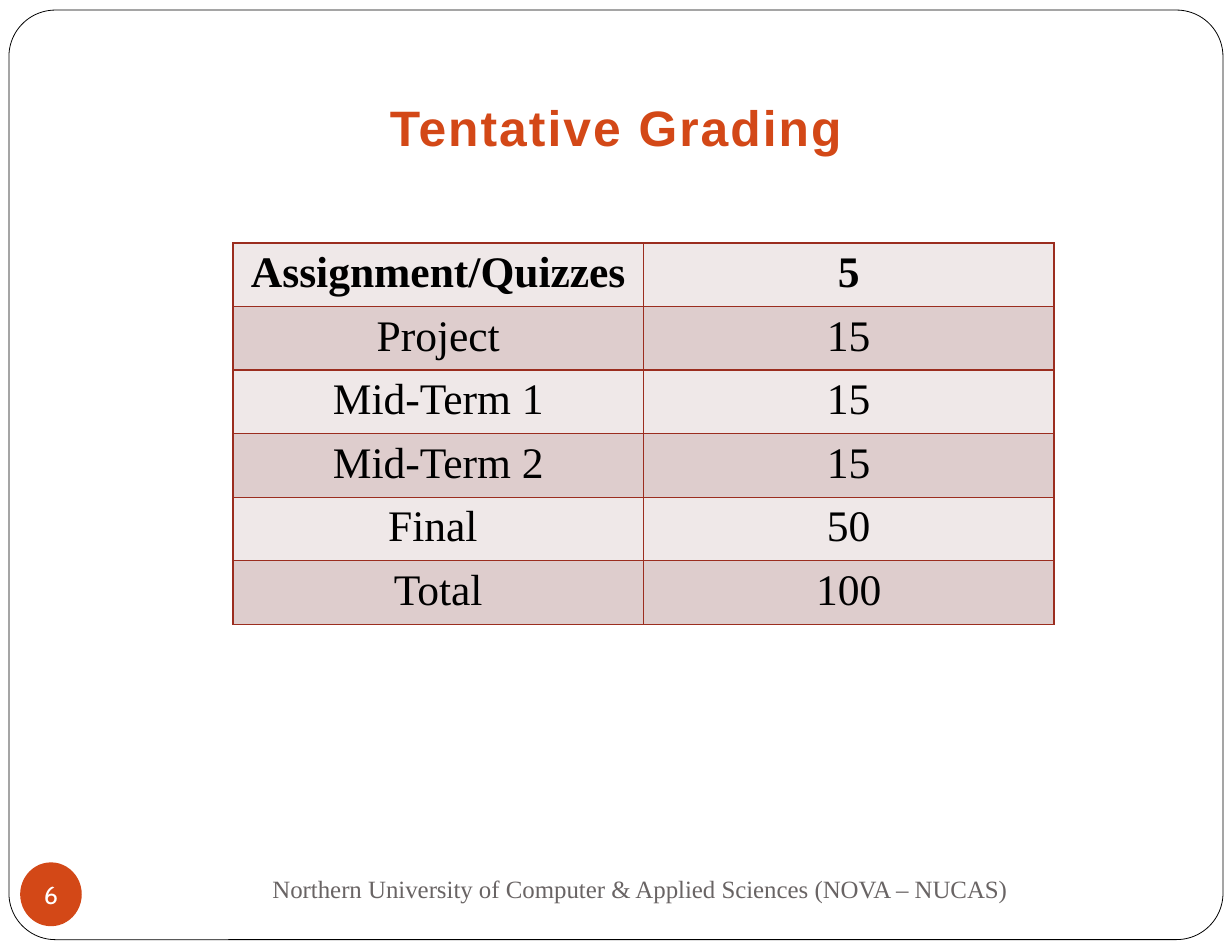
from dataclasses import dataclass

from lxml.etree import SubElement
from pptx import Presentation
from pptx.dml.color import RGBColor as RGB
from pptx.enum.shapes import MSO_SHAPE as Shape
from pptx.enum.text import MSO_ANCHOR as Anchor, PP_ALIGN as Align
from pptx.oxml.ns import qn
from pptx.util import Inches, Pt


@dataclass(frozen=True)
class Theme:
    white: str = "FFFFFF"
    black: str = "000000"
    accent: str = "D34817"
    grey: str = "696464"
    border: str = "9B2D1F"
    bands: tuple = ("EFE8E8", "DECDCD")
    serif: str = "Times New Roman"
    sans: str = "Arial"
    badge: str = "Cabin"
    title: int = 32
    body: int = 28
    small: int = 16


THEME = Theme()

GRADES = [
    ("Assignment/Quizzes", "5"),
    ("Project", "15"),
    ("Mid-Term 1", "15"),
    ("Mid-Term 2", "15"),
    ("Final ", "50"),
    ("Total", "100"),
]


def write(frame, text, face, size, color, bold=False):
    """Put one centred paragraph into a text frame."""
    para = frame.paragraphs[0]
    para.text = text
    para.alignment = Align.CENTER
    font = para.font
    font.name, font.size, font.bold = face, Pt(size), bold
    font.color.rgb = RGB.from_string(color)
    return para


def inset(frame, side, top, bottom):
    frame.margin_left = frame.margin_right = Inches(side)
    frame.margin_top, frame.margin_bottom = Inches(top), Inches(bottom)


def add_text(slide, box, anchor, bottom, *style, **extra):
    frame = slide.shapes.add_textbox(*map(Inches, box)).text_frame
    frame.word_wrap = True
    frame.vertical_anchor = anchor
    inset(frame, 0.11, 0.06, bottom)
    return write(frame, *style, **extra)


def add_form(slide, kind, box, fill):
    form = slide.shapes.add_shape(kind, *map(Inches, box))
    form.shadow.inherit = False
    form.fill.solid()
    form.fill.fore_color.rgb = RGB.from_string(fill)
    form.line.fill.background()
    return form


def add_frame(slide):
    form = add_form(slide, Shape.ROUNDED_RECTANGLE, (0.08, 0.09, 10.84, 8.3), THEME.white)
    form.adjustments[0] = 0.05
    form.line.color.rgb = RGB.from_string(THEME.black)
    form.line.width = Pt(0.5)


def add_badge(slide, text):
    frame = add_form(slide, Shape.OVAL, (0.18, 7.7, 0.55, 0.57), THEME.accent).text_frame
    frame.word_wrap = False
    frame.vertical_anchor = Anchor.MIDDLE
    inset(frame, 0, 0, 0)
    write(frame, text, THEME.badge, THEME.small, THEME.white)


def edge(cell, color, width):
    """Draw all four borders; they must come before the cell's fill."""
    props = cell._tc.get_or_add_tcPr()
    for side in ("lnL", "lnR", "lnT", "lnB"):
        line = SubElement(props, qn(f"a:{side}"), w=str(Pt(width)))
        fill = SubElement(line, qn("a:solidFill"))
        SubElement(fill, qn("a:srgbClr"), val=color)


def add_grid(slide, rows):
    size = len(rows), len(rows[0])
    box = (2.08, 2.17, 7.33, 0.53 * len(rows))
    table = slide.shapes.add_table(*size, *map(Inches, box)).table
    for i, row in enumerate(rows):
        for j, text in enumerate(row):
            cell = table.cell(i, j)
            edge(cell, THEME.border, 1)
            cell.fill.solid()
            cell.fill.fore_color.rgb = RGB.from_string(THEME.bands[i % 2])
            write(cell.text_frame, text, THEME.serif, THEME.body, THEME.black, bold=i == 0)


def main():
    deck = Presentation()
    deck.slide_width, deck.slide_height = Inches(11), Inches(8.5)
    slide = deck.slides.add_slide(deck.slide_layouts[6])

    # Page frame, footer and page number
    add_frame(slide)
    add_text(slide, (1.1, 7.65, 9.23, 0.57), Anchor.MIDDLE, 0.06,
             "Northern University of Computer & Applied Sciences (NOVA – NUCAS)",
             THEME.serif, THEME.small, THEME.grey)
    add_badge(slide, "6")

    # Title with wide letter spacing
    title = add_text(slide, (0, 0.47, 11, 1.04), Anchor.BOTTOM, 0.11,
                     "Tentative Grading", THEME.sans, THEME.title, THEME.accent, bold=True)
    title.runs[0].font._element.set("spc", "130")

    # Grading table
    add_grid(slide, GRADES)

    deck.save("out.pptx")


if __name__ == "__main__":
    main()
